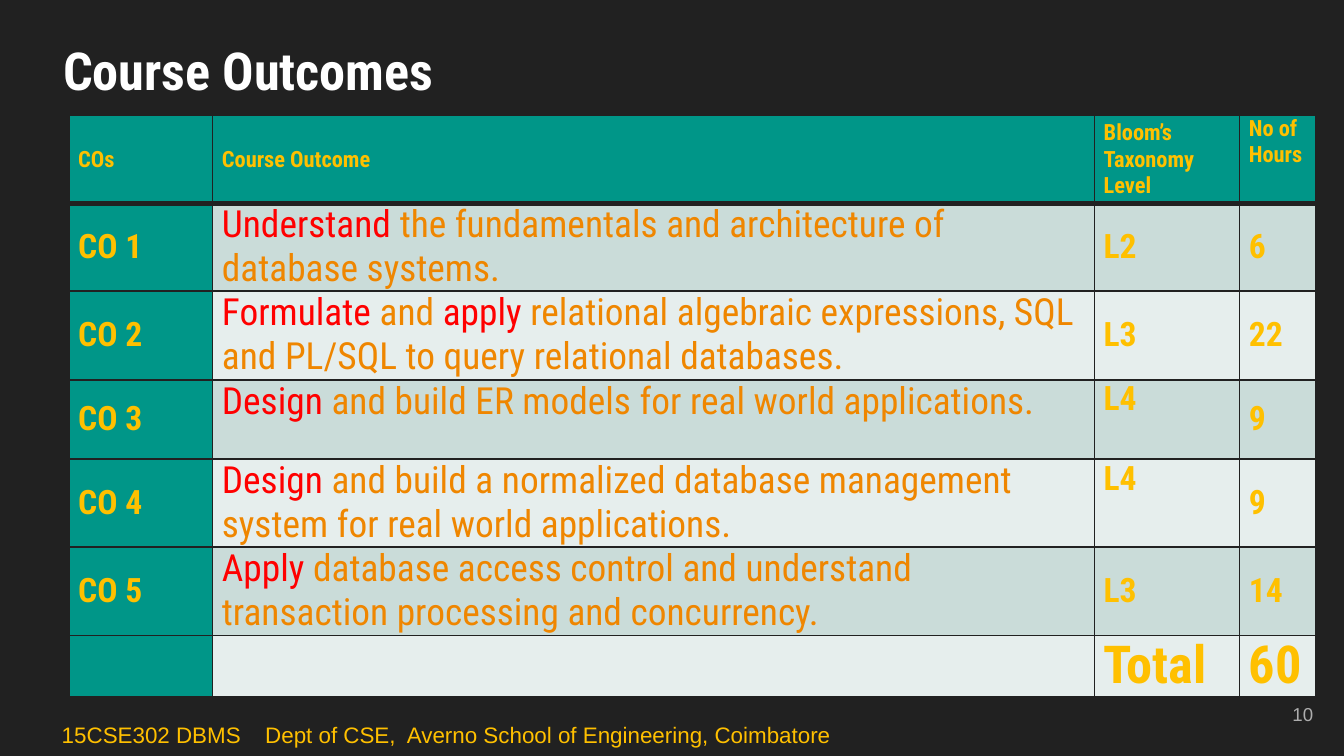
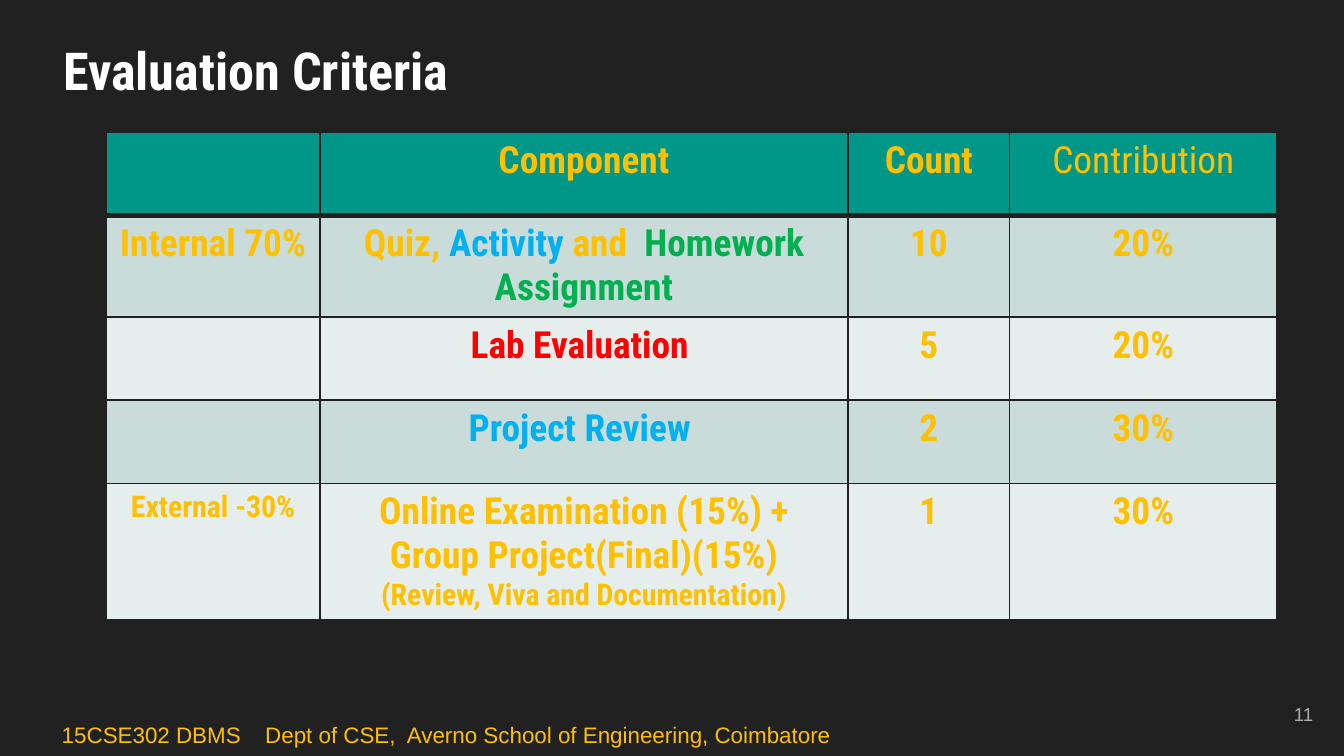
from lxml import etree
from pptx import Presentation
from pptx.dml.color import RGBColor
from pptx.enum.text import MSO_ANCHOR, MSO_AUTO_SIZE, PP_ALIGN
from pptx.oxml.ns import qn
from pptx.util import Pt

TOP, MIDDLE = MSO_ANCHOR.TOP, MSO_ANCHOR.MIDDLE
LEFT, CENTER, RIGHT = PP_ALIGN.LEFT, PP_ALIGN.CENTER, PP_ALIGN.RIGHT
NO_FIT = MSO_AUTO_SIZE.NONE

COLORS = {
    "bg": "212121", "white": "FFFFFF", "gold": "FFC000", "grey": "ADADAD",
    "teal": "009688", "band_dark": "CADCD9", "band_light": "E6EEED",
    "red": "FF0000", "orange": "EF8600", "blue": "00B0F0", "green": "00B050",
}
HEAD_FONT, FOOT_FONT = "Roboto Condensed", "Arial"
FOOTER = "15CSE302 DBMS\tDept of CSE,  Averno School of Engineering, Coimbatore"


def rgb(name):
    return RGBColor.from_string(COLORS[name])


def write(tf, text, size=20, font=HEAD_FONT, color="gold", bold=False, align=LEFT):
    """Text is a string or a list of paragraphs; a paragraph is a string or a list of (text, overrides)."""
    paragraphs = [text] if isinstance(text, str) else text
    for i, runs in enumerate(paragraphs):
        p = tf.add_paragraph() if i else tf.paragraphs[0]
        p.alignment = align
        for words, changes in [(runs, {})] if isinstance(runs, str) else runs:
            r = p.add_run()
            r.text = words
            r.font.name = font
            r.font.size = Pt(changes.get("size", size))
            r.font.bold = bold
            r.font.color.rgb = rgb(changes.get("color", color))


def border(cell, top, bottom):
    tcPr = cell._tc.get_or_add_tcPr()
    sides = (("a:lnL", 1), ("a:lnR", 1), ("a:lnT", top), ("a:lnB", bottom))
    for i, (tag, width) in enumerate(sides):
        ln = etree.Element(qn(tag), w=str(Pt(width)))
        fill = etree.SubElement(ln, qn("a:solidFill"))
        etree.SubElement(fill, qn("a:srgbClr"), val=COLORS["bg"])
        tcPr.insert(i, ln)


class Deck:
    def __init__(self):
        self.prs = Presentation()
        self.prs.slide_width, self.prs.slide_height = Pt(720), Pt(405)
        fill = self.prs.slide_master.background.fill
        fill.solid()
        fill.fore_color.rgb = rgb("bg")
        self.s = None

    def slide(self, title, number):
        self.s = self.prs.slides.add_slide(self.prs.slide_layouts[5])
        sp = self.s.shapes.title
        sp.left, sp.top, sp.width, sp.height = Pt(26.6), Pt(13), Pt(671), Pt(45.4)
        self.frame(sp.text_frame, TOP)
        write(sp.text_frame, title, size=28, color="white", bold=True)
        self.text(number, 667.4, 367.2, 43.2, 31, anchor=MIDDLE,
                  size=10, font=FOOT_FONT, color="grey", align=RIGHT)
        tf = self.text(FOOTER, 26, 379.4, 432.7, 25.2, size=12, font=FOOT_FONT)
        tabs = etree.SubElement(tf.paragraphs[0]._p.get_or_add_pPr(), qn("a:tabLst"))
        etree.SubElement(tabs, qn("a:tab"), pos=str(Pt(109)), algn="l")

    def frame(self, tf, anchor):
        tf.word_wrap = True
        tf.auto_size = NO_FIT
        tf.vertical_anchor = anchor
        tf.margin_left = tf.margin_right = tf.margin_top = tf.margin_bottom = Pt(7.2)

    def text(self, text, x, y, w, h, anchor=TOP, **fmt):
        tf = self.s.shapes.add_textbox(Pt(x), Pt(y), Pt(w), Pt(h)).text_frame
        self.frame(tf, anchor)
        write(tf, text, **fmt)
        return tf

    def table(self, x, y, widths, heights, rows, style, margins, teal_column=False):
        tbl = self.s.shapes.add_table(len(rows), len(widths), Pt(x), Pt(y),
                                      Pt(sum(widths)), Pt(sum(heights))).table
        tbl.horz_banding = False
        for col, width in zip(tbl.columns, widths):
            col.width = Pt(width)
        for i, row in enumerate(rows):
            tbl.rows[i].height = Pt(heights[i])
            for j, text in enumerate(row):
                cell = tbl.cell(i, j)
                cell.margin_left = cell.margin_right = Pt(margins[0])
                cell.margin_top = cell.margin_bottom = Pt(margins[1])
                teal = i == 0 or (teal_column and j == 0)
                cell.fill.solid()
                cell.fill.fore_color.rgb = rgb(
                    "teal" if teal else "band_dark" if i % 2 else "band_light")
                border(cell, 3 if i == 1 else 1, 3 if i == 0 else 1)
                fmt = style(i, j)
                cell.vertical_anchor = fmt.pop("anchor", TOP)
                if text:
                    write(cell.text_frame, text, **fmt)


def outcome_style(i, j):
    if i == 0:
        return {"size": 12, "bold": True, "anchor": TOP if j == 3 else MIDDLE}
    if i == 6:
        return {"size": 28, "bold": True}
    if j == 1:
        return {"size": 20, "color": "orange"}
    return {"size": 18, "bold": True,
            "anchor": TOP if (i, j) in ((3, 2), (4, 2)) else MIDDLE}


def criteria_style(i, j):
    return {"size": 16 if (i, j) == (4, 0) else 20,
            "bold": (i, j) != (0, 3), "align": CENTER}


def course_outcomes(deck):
    red = {"color": "red"}
    outcomes = [
        ([("Understand", red),
          (" the fundamentals and architecture of database systems.", {})], "L2", "6"),
        ([("Formulate ", red), ("and ", {}), ("apply", red),
          (" relational algebraic expressions, SQL and PL/SQL to query relational databases.", {})],
         "L3", "22"),
        ([("Design", red),
          (" and build ER models for real world applications.", {})], "L4", "9"),
        ([("Design", red),
          (" and build a normalized database management system for real world applications.", {})],
         "L4", "9"),
        ([("Apply", red),
          (" database access control and understand transaction processing and concurrency.", {})],
         "L3", "14"),
    ]
    rows = [["COs", "Course Outcome", ["Bloom’s", "Taxonomy", "Level"], "No of Hours"]]
    rows += [[f"CO {n}", [runs], level, hours]
             for n, (runs, level, hours) in enumerate(outcomes, 1)]
    rows.append(["", "", "Total", "60"])
    deck.slide("Course Outcomes", "10")
    deck.table(36.9, 61.9, [77, 472.4, 77.8, 40.8], [47, 47, 47.5, 42.5, 47, 47.5, 32],
               rows, outcome_style, (5, 0), teal_column=True)


def evaluation_criteria(deck):
    blue, green = {"color": "blue"}, {"color": "green"}
    rows = [
        ["", "Component", "Count", "Contribution"],
        ["Internal 70%", [[("Quiz, ", {}), ("Activity", blue), (" and  ", {}),
                           ("Homework Assignment", green)]], "10", "20%"],
        ["", [[("Lab Evaluation ", {"color": "red"})]], "5", "20%"],
        ["", [[("Project Review ", blue)]], "2", "30%"],
        ["External -30%", ["Online Examination (15%) +", "Group Project(Final)(15%)",
                           [("(Review, Viva and Documentation)", {"size": 16})]], "1", "30%"],
    ]
    deck.slide("Evaluation Criteria", "11")
    deck.table(57, 71, [114.4, 283, 86.5, 143.4], [44.5, 54.5, 44.5, 44.5, 73],
               rows, criteria_style, (7.2, 3.6))


def main():
    deck = Deck()
    course_outcomes(deck)
    evaluation_criteria(deck)
    deck.prs.save("out.pptx")


if __name__ == "__main__":
    main()
